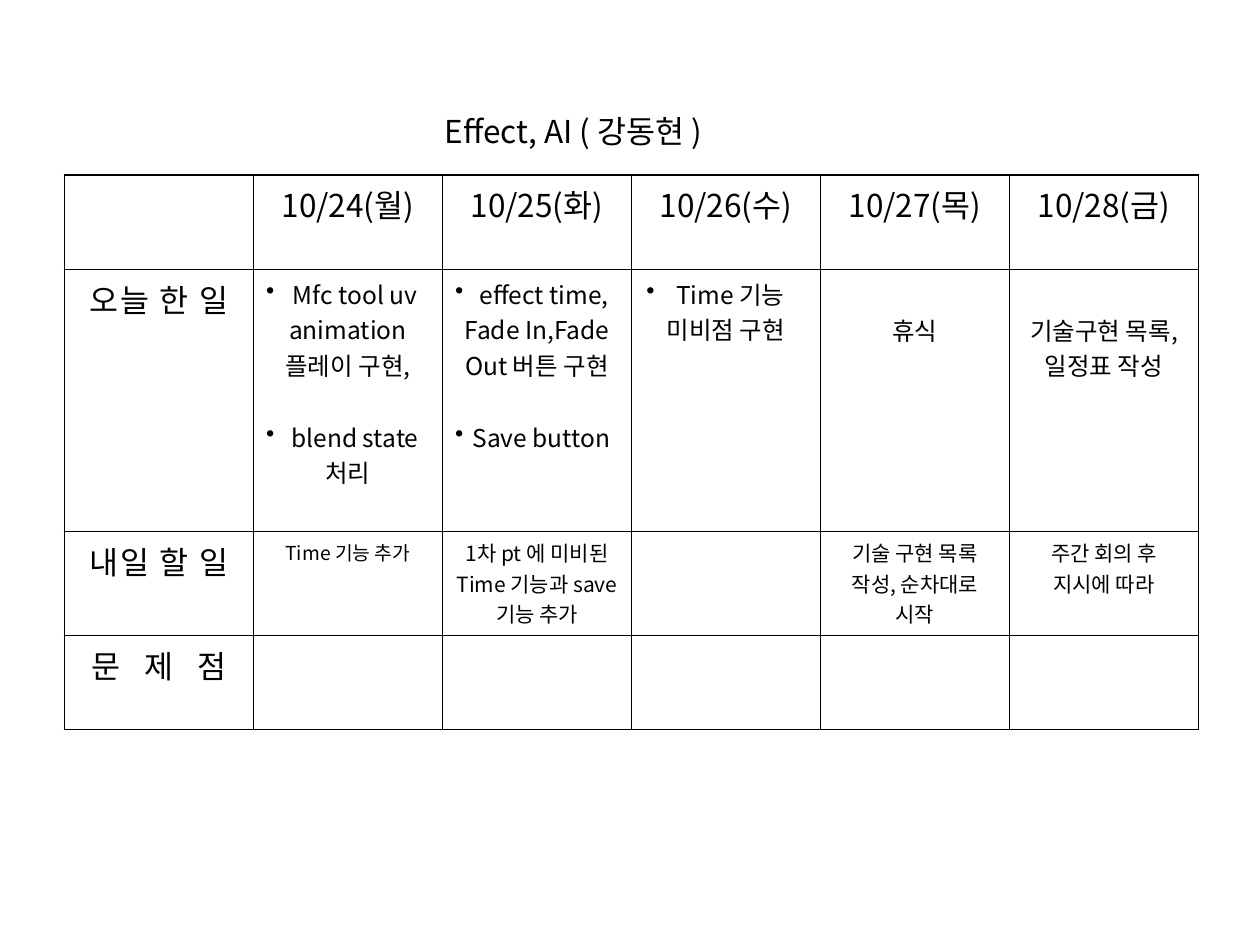
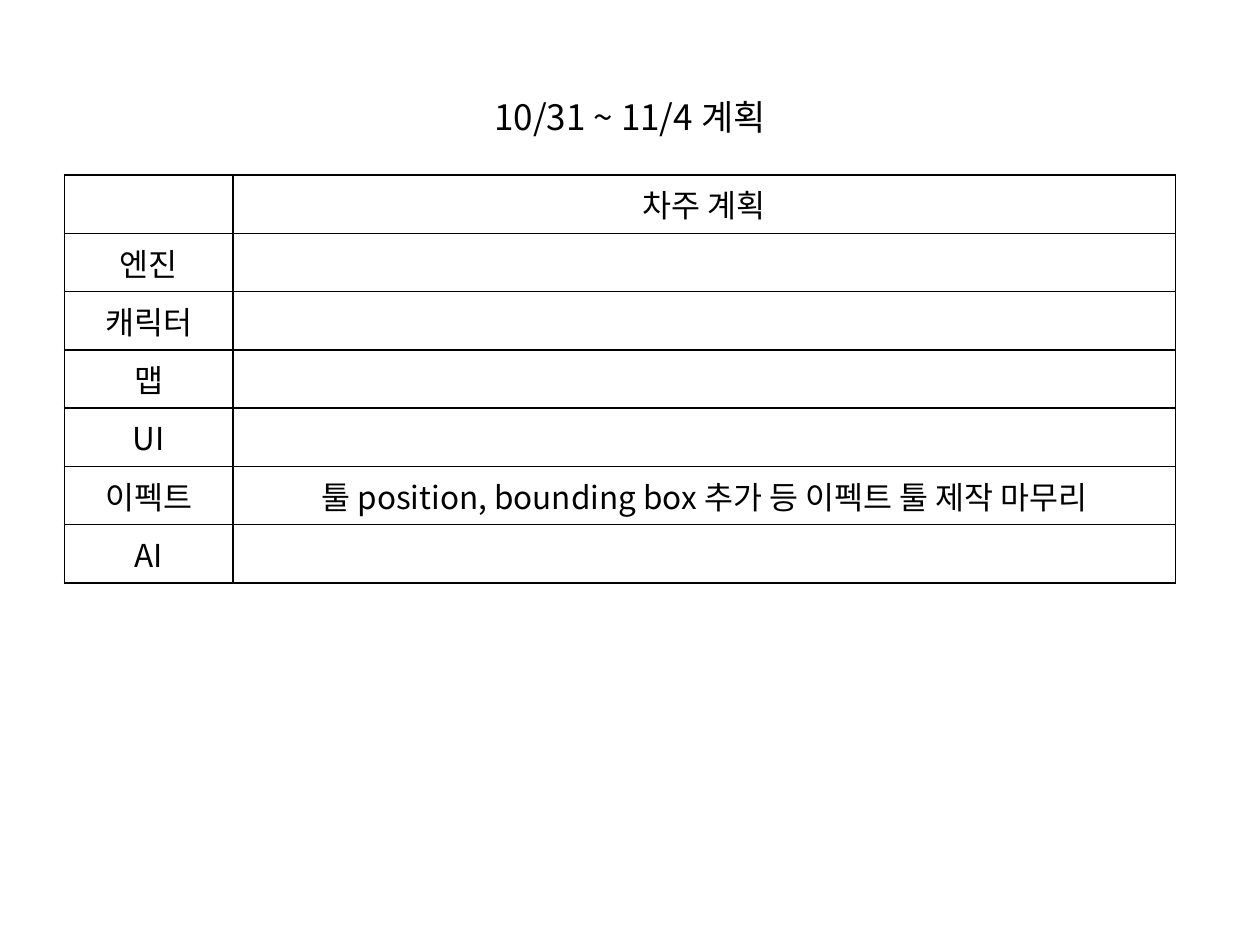
from dataclasses import dataclass

from lxml import etree
from pptx import Presentation
from pptx.dml.color import RGBColor
from pptx.enum.text import MSO_ANCHOR, MSO_AUTO_SIZE, PP_ALIGN
from pptx.oxml.ns import qn
from pptx.util import Cm, Pt


@dataclass(frozen=True)
class Theme:
    font: str = "Noto Sans CJK KR"
    ink: RGBColor = RGBColor(0, 0, 0)
    border: float = 1
    title: int = 20
    label: int = 18
    task: int = 14
    note: int = 12
    small: int = 11


THEME = Theme()


@dataclass(frozen=True)
class Line:
    """One paragraph: size in points, bullet, space before and letter spacing."""
    text: str
    size: int = THEME.label
    bullet: bool = False
    before: float = 0
    tracking: float = 0


@dataclass(frozen=True)
class Entry:
    """The paragraphs of a cell, with an optional drop from its top edge in cm."""
    lines: tuple
    drop: float = 0


def write(paragraph, line, align=PP_ALIGN.CENTER):
    paragraph.alignment = align
    paragraph.space_before = Pt(line.before)
    run = paragraph.add_run()
    run.text = line.text
    run.font.size = Pt(line.size)
    run.font.color.rgb = THEME.ink
    run.font.name = THEME.font
    props = run.font._element
    etree.SubElement(props, qn("a:ea"), typeface=THEME.font)
    if line.tracking:
        props.set("spc", str(round(line.tracking * 100)))
    if line.bullet:
        etree.SubElement(paragraph._p.get_or_add_pPr(), qn("a:buChar"), char="•")


def add_title(slide, box, line, align=PP_ALIGN.CENTER, wrap=True):
    title = slide.shapes.title
    title.left, title.top, title.width, title.height = map(Cm, box)
    frame = title.text_frame
    frame.word_wrap = wrap
    frame.auto_size = MSO_AUTO_SIZE.NONE
    frame.vertical_anchor = MSO_ANCHOR.MIDDLE
    write(frame.paragraphs[0], line, align)


def style_cell(cell):
    props = cell._tc.get_or_add_tcPr()
    for side in ("lnL", "lnR", "lnT", "lnB"):
        edge = etree.SubElement(props, qn("a:" + side), w=str(Pt(THEME.border)))
        fill = etree.SubElement(edge, qn("a:solidFill"))
        etree.SubElement(fill, qn("a:srgbClr"), val=str(THEME.ink))
    cell.fill.background()


def fill_cell(cell, entry):
    """An entry is empty, a plain label, a single line or a full Entry."""
    if not entry:
        return
    if isinstance(entry, str):
        entry = Line(entry)
    if isinstance(entry, Line):
        entry = Entry((entry,))
    if entry.drop:
        cell.margin_top = Cm(entry.drop)
    frame = cell.text_frame
    for i, line in enumerate(entry.lines):
        write(frame.add_paragraph() if i else frame.paragraphs[0], line)


def add_grid(slide, left, top, widths, heights, rows):
    table = slide.shapes.add_table(
        len(heights), len(widths), Cm(left), Cm(top),
        Cm(sum(widths)), Cm(sum(heights))).table
    table.first_row = table.horz_banding = False
    for column, width in zip(table.columns, widths):
        column.width = Cm(width)
    for row, height, entries in zip(table.rows, heights, rows):
        row.height = Cm(height)
        for cell, entry in zip(row.cells, entries):
            style_cell(cell)
            fill_cell(cell, entry)


def task(text, bullet=False, before=0):
    return Line(text, THEME.task, bullet, before)


def note(*texts):
    return Entry(tuple(Line(text, THEME.note) for text in texts))


GRID_LEFT, GRID_TOP = 1.3, 3.53
TASK_GAP = 20.5   # one task line, in points
TASK_DROP = 0.85  # cell margin plus one task line, in cm


def weekly_report(slide):
    add_title(slide, (8.71, 2.13, 6.1, 1.02), Line("Effect, AI ( 강동현 )"),
              PP_ALIGN.LEFT, wrap=False)
    days = zip(range(24, 29), "월화수목금")
    header = [None] + [f"10/{day}({name})" for day, name in days]
    today = [
        Line("오늘 한 일", tracking=1),
        Entry((task(" Mfc tool uv animation", True), task("플레이 구현,"),
               task(" blend state 처리", True, TASK_GAP))),
        Entry((task(" effect time,", True), task("Fade In,Fade Out 버튼 구현"),
               task("Save button", True, TASK_GAP))),
        Entry((task("Time 기능", True), task("미비점 구현"))),
        Entry((task("휴식"),), TASK_DROP),
        Entry((task("기술구현 목록,일정표 작성"),), TASK_DROP),
    ]
    tomorrow = [
        Line("내일 할 일", tracking=1),
        Line("Time 기능 추가", THEME.small),
        note("1차 pt 에 미비된", "Time 기능과 save 기능 추가"),
        None,
        note("기술 구현 목록 작성, 순차대로 시작"),
        note("주간 회의 후", "지시에 따라"),
    ]
    problems = [Line("문 제 점", tracking=5)] + [None] * 5
    add_grid(slide, GRID_LEFT, GRID_TOP, [3.81] * 6, [1.9, 5.28, 1.9, 1.9],
             [header, today, tomorrow, problems])


def next_week_plan(slide):
    add_title(slide, (1.27, 0.76, 22.86, 3.18),
              Line("10/31 ~ 11/4 계획", THEME.title))
    plans = {
        None: "차주 계획",
        "엔진": None,
        "캐릭터": None,
        "맵": None,
        "UI": None,
        "이펙트": "툴 position, bounding box 추가 등 이펙트 툴 제작 마무리",
        "AI": None,
    }
    add_grid(slide, GRID_LEFT, GRID_TOP, [3.4, 19], [1.03] * len(plans),
             plans.items())


# Build the deck on the title-only layout
deck = Presentation()
deck.slide_width, deck.slide_height = Cm(25.4), Cm(19.05)
for build in (weekly_report, next_week_plan):
    build(deck.slides.add_slide(deck.slide_layouts[5]))
deck.save("out.pptx")
